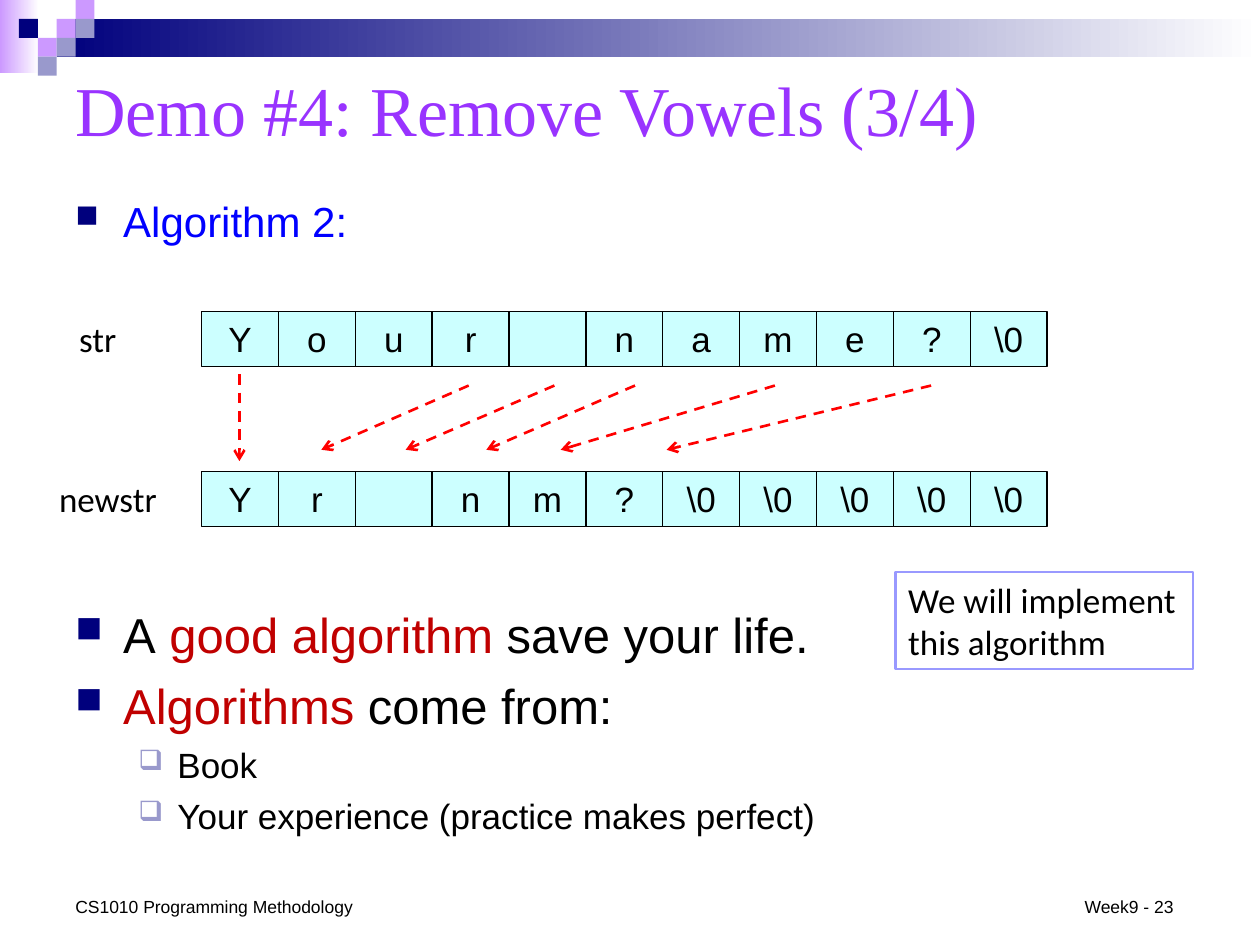
from lxml import etree
from pptx import Presentation
from pptx.dml.color import RGBColor
from pptx.enum.dml import MSO_LINE
from pptx.enum.shapes import MSO_CONNECTOR, MSO_SHAPE
from pptx.enum.text import MSO_ANCHOR, PP_ALIGN
from pptx.oxml.ns import qn
from pptx.util import Inches, Pt

RECTANGLE = MSO_SHAPE.RECTANGLE
STRAIGHT = MSO_CONNECTOR.STRAIGHT
DASH = MSO_LINE.DASH
TOP, MIDDLE = MSO_ANCHOR.TOP, MSO_ANCHOR.MIDDLE
LEFT, CENTER = PP_ALIGN.LEFT, PP_ALIGN.CENTER

COLUMNS, ROWS = 100, 75

NAVY, LILAC, GREY_BLUE = "00007D", "CC99FF", "9999CC"
BLACK, WHITE, RED, DARK_RED, BLUE = "000000", "FFFFFF", "FF0000", "C00000", "0000FF"
PURPLE, PERIWINKLE, PALE_CYAN = "9933FF", "9999FF", "CCFFFF"

# One entry per bullet level: symbol, colour, size %, left indent, hanging (inches)
BULLETS = [("■", NAVY, 75, 0.38, 0.38), ("❑", GREY_BLUE, 80, 0.81, 0.31)]

TILE = 1.5
TILES = [(3, 1, LILAC), (4, 0, LILAC), (4, 1, GREY_BLUE), (2, 2, LILAC),
         (1, 1, NAVY), (3, 2, GREY_BLUE), (2, 3, GREY_BLUE)]

CELL_LEFT, CELL_WIDTH, CELL_HEIGHT = 16, 6.1, 4.4
STRINGS = [
    ("str", 5.3, 24.7, ["Y", "o", "u", "r", "", "n", "a", "m", "e", "?", "\\0"]),
    ("newstr", 3.7, 37.4, ["Y", "r", "", "n", "m", "?"] + ["\\0"] * 5),
]
# Start and end columns of the slanted arrows
COPIES = [(37.2, 25.5), (44, 32.2), (50.4, 38.6), (61.5, 44.5), (73.9, 52.9)]


def rgb(color):
    return RGBColor.from_string(color)


class SlideBuilder:
    """Places elements on a slide by grid columns and rows."""

    def __init__(self, presentation):
        self.slide = presentation.slides.add_slide(presentation.slide_layouts[6])
        self.shapes = self.slide.shapes
        self.column = presentation.slide_width / COLUMNS
        self.row = presentation.slide_height / ROWS

    def place(self, left, top, width, height):
        return (round(left * self.column), round(top * self.row),
                round(width * self.column), round(height * self.row))

    def style(self, paragraph, size, color=None, font="Arial", align=LEFT):
        paragraph.alignment = align
        paragraph.font.size = Pt(size)
        paragraph.font.name = font
        if color:
            paragraph.font.color.rgb = rgb(color)

    def rectangle(self, area, fill=None, line=None, line_width=0.75):
        shape = self.shapes.add_shape(RECTANGLE, *self.place(*area))
        shape.shadow.inherit = False
        if fill:
            shape.fill.solid()
            shape.fill.fore_color.rgb = rgb(fill)
        else:
            shape.fill.background()
        if line:
            shape.line.color.rgb = rgb(line)
            shape.line.width = Pt(line_width)
        else:
            shape.line.fill.background()
        return shape

    def gradient(self, area, start):
        """Fade from the start colour to white, left to right."""
        fill = self.rectangle(area).fill
        fill.gradient()
        fill.gradient_angle = 0
        for stop, color in zip(fill.gradient_stops, (start, WHITE)):
            stop.color.rgb = rgb(color)

    def boxed_text(self, area, text, fill=None, line=BLACK, line_width=0.75,
                   font="Arial", align=CENTER):
        frame = self.rectangle(area, fill, line, line_width).text_frame
        frame.word_wrap = True
        if text:
            frame.text = text
            self.style(frame.paragraphs[0], 20, BLACK, font, align)

    def text_frame(self, area, anchor=TOP, wrap=True):
        frame = self.shapes.add_textbox(*self.place(*area)).text_frame
        frame.word_wrap = wrap
        frame.vertical_anchor = anchor
        return frame

    def label(self, area, text, size, color=BLACK, font="Arial", anchor=TOP):
        frame = self.text_frame(area, anchor, wrap=False)
        frame.text = text
        self.style(frame.paragraphs[0], size, color, font)

    def bullets(self, area, items):
        """Each item is (level, size, [(text, colour), ...])."""
        frame = self.text_frame(area)
        for index, (level, size, runs) in enumerate(items):
            paragraph = frame.add_paragraph() if index else frame.paragraphs[0]
            paragraph.level = level
            self.add_bullet(paragraph, *BULLETS[level])
            self.style(paragraph, size)
            if index:
                paragraph.space_before = Pt(size / 4)
            for text, color in runs:
                run = paragraph.add_run()
                run.text = text
                run.font.color.rgb = rgb(color)

    def add_bullet(self, paragraph, symbol, color, percent, indent, hanging):
        properties = paragraph._p.get_or_add_pPr()
        properties.set("marL", str(Inches(indent)))
        properties.set("indent", str(-Inches(hanging)))
        bullet_color = etree.SubElement(properties, qn("a:buClr"))
        etree.SubElement(bullet_color, qn("a:srgbClr"), val=color)
        etree.SubElement(properties, qn("a:buSzPct"), val=str(percent * 1000))
        etree.SubElement(properties, qn("a:buChar"), char=symbol)

    def arrow(self, start, end):
        connector = self.shapes.add_connector(
            STRAIGHT, *self.place(*start, *end))
        connector.line.color.rgb = rgb(RED)
        connector.line.width = Pt(1.5)
        connector.line.dash_style = DASH
        etree.SubElement(connector.line._get_or_add_ln(), qn("a:tailEnd"), type="arrow")
        etree.SubElement(connector._element.spPr, qn("a:effectLst"))


def main():
    presentation = Presentation()
    presentation.slide_width, presentation.slide_height = Inches(10), Inches(7.5)
    builder = SlideBuilder(presentation)

    builder.gradient((0, 0, 3.1, 5.8), LILAC)
    builder.gradient((4.5, 1.5, 95.5, 3), NAVY)
    for column, row, color in TILES:
        builder.rectangle((column * TILE, row * TILE, TILE, TILE), color)

    builder.label((5, 4.2, 90, 8.8), "Demo #4: Remove Vowels (3/4)", 40, PURPLE,
                  "Times New Roman", MIDDLE)
    builder.bullets((5, 15, 90, 5), [(0, 24, [("Algorithm 2:", BLUE)])])

    for name, left, top, characters in STRINGS:
        builder.label((left, top, 9.9, CELL_HEIGHT), name, 20, font="Calibri")
        for index, character in enumerate(characters):
            area = (CELL_LEFT + index * CELL_WIDTH, top, CELL_WIDTH, CELL_HEIGHT)
            builder.boxed_text(area, character, PALE_CYAN)

    builder.arrow((19, 29.7), (19, 36.6))
    for start, end in COPIES:
        builder.arrow((start, 30.6), (end, 35.7))

    builder.bullets((5, 47.5, 90, 19.5), [
        (0, 28, [("A", BLACK), (" good algorithm", DARK_RED), (" save your life.", BLACK)]),
        (0, 28, [("Algorithms", DARK_RED), (" come from:", BLACK)]),
        (1, 20, [("Book", BLACK)]),
        (1, 20, [("Your experience (practice makes perfect)", BLACK)]),
    ])
    builder.boxed_text((71.1, 45.4, 23.6, 7.7), "We will implement this algorithm",
                       line=PERIWINKLE, line_width=1.5, font="Calibri", align=LEFT)

    builder.label((5, 70.6, 24.2, 2.7), "CS1010 Programming Methodology", 10)
    builder.label((85.1, 70.6, 9.9, 2.7), "Week9 - 23", 10)
    presentation.save("out.pptx")


if __name__ == "__main__":
    main()
